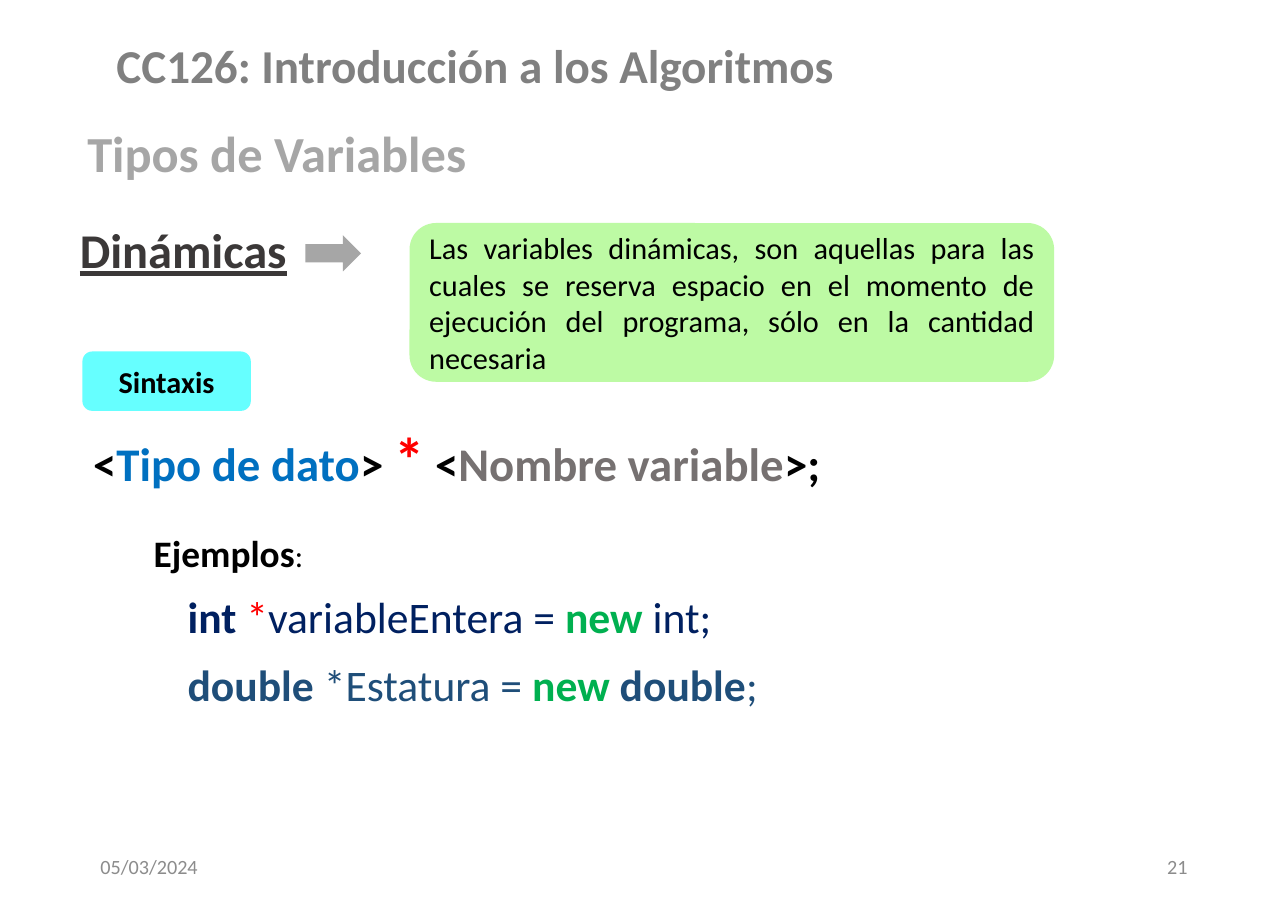
from dataclasses import dataclass

from pptx import Presentation
from pptx.dml.color import RGBColor
from pptx.enum.shapes import MSO_SHAPE
from pptx.enum.text import MSO_ANCHOR, MSO_AUTO_SIZE, PP_ALIGN
from pptx.util import Inches, Pt

LEFT, MID, RIGHT, FULL = PP_ALIGN.LEFT, PP_ALIGN.CENTER, PP_ALIGN.RIGHT, PP_ALIGN.JUSTIFY
TOP, CENTER = MSO_ANCHOR.TOP, MSO_ANCHOR.MIDDLE
ROUND, ARROW = MSO_SHAPE.ROUNDED_RECTANGLE, MSO_SHAPE.RIGHT_ARROW
NO_FIT = MSO_AUTO_SIZE.NONE


@dataclass(frozen=True)
class Theme:
    """Colours, type sizes and font of the slide."""
    font: str = "Calibri"
    black: str = "000000"
    head: str = "808080"
    gray: str = "A6A6A6"
    dark: str = "3B3838"
    name: str = "767171"
    foot: str = "8C8C8C"
    blue: str = "0070C0"
    navy: str = "002060"
    steel: str = "1F4E79"
    red: str = "FF0000"
    green: str = "00B050"
    lime: str = "BDFAA4"
    cyan: str = "66FFFF"
    head_size: float = 28
    title_size: float = 30
    sub_size: float = 28.8
    form_size: float = 27.8
    star_size: float = 36.1
    code_size: float = 25.9
    label_size: float = 22.2
    colon_size: float = 18.5
    note_size: float = 18
    foot_size: float = 12


T = Theme()


def run(text, size, color, bold=False, **more):
    """Return the text and format values of one run."""
    return text, color, {"name": T.font, "size": Pt(size), "bold": bold, **more}


def place(shape, box):
    """Move and size a shape."""
    for key, value in zip(("left", "top", "width", "height"), box):
        setattr(shape, key, Inches(value))


def write(shape, lines, anchor=TOP):
    """Fill a shape with lines of (runs, indent, paragraph format)."""
    frame = shape.text_frame
    look = {"word_wrap": True, "auto_size": NO_FIT, "vertical_anchor": anchor}
    for key, value in look.items():
        setattr(frame, key, value)
    for i, (runs, indent, form) in enumerate(lines):
        para = frame.add_paragraph() if i else frame.paragraphs[0]
        props = para._p.get_or_add_pPr()
        props.set("marL", str(Inches(indent)))
        props.set("indent", "0")
        for key, value in {"alignment": LEFT, **form}.items():
            setattr(para, key, value)
        for text, color, font in runs:
            part = para.add_run()
            part.text = text
            for key, value in font.items():
                setattr(part.font, key, value)
            part.font.color.rgb = RGBColor.from_string(color)


def add_text(slide, box, lines, anchor=TOP):
    """Add a text box."""
    write(slide.shapes.add_textbox(*map(Inches, box)), lines, anchor)


def add_block(slide, kind, box, fill, lines=()):
    """Add a filled preset shape with optional text."""
    shape = slide.shapes.add_shape(kind, *map(Inches, box))
    shape.shadow.inherit = False
    shape.fill.solid()
    shape.fill.fore_color.rgb = RGBColor.from_string(fill)
    shape.line.fill.background()
    write(shape, lines, CENTER)


def add_title(slide):
    """Format the title placeholder."""
    title = slide.shapes.title
    place(title, (0.55, 1.01, 5.65, 0.48))
    runs = [run("Tipos de Variables", T.title_size, T.gray, True)]
    write(title, [(runs, 0.07, {"line_spacing": 0.9})])


def add_syntax(slide):
    """Add the syntax rule and its examples."""
    size, code = T.form_size, T.code_size
    rule = [
        run("<", size, T.black, True),
        run("Tipo de dato", size, T.blue, True),
        run("> ", size, T.black, True),
        run("*", T.star_size, T.red, True),
        run(" ", size, T.black),
        run("<", size, T.black, True),
        run("Nombre variable", size, T.name, True),
        run(">;", size, T.black, True),
    ]
    label = [
        run("Ejemplos", T.label_size, T.black, True),
        run(":", T.colon_size, T.black),
    ]
    whole = [
        run("int ", code, T.navy, True),
        run("*", code, T.red),
        run("variableEntera = ", code, T.navy),
        run("new ", code, T.green, True),
        run("int;", code, T.navy),
    ]
    real = [
        run("double", code, T.steel, True),
        run(" *Estatura = ", code, T.steel),
        run("new ", code, T.green, True),
        run("double", code, T.steel, True),
        run(";", code, T.steel),
    ]
    tight = {"line_spacing": 0.8}
    loose = {"line_spacing": 1.1, "space_before": Pt(6)}
    add_text(slide, (0.55, 3.54, 8.18, 2.95), [
        (rule, 0.12, tight),
        (label, 0.62, {**tight, "space_before": Pt(27)}),
        (whole, 0.9, loose),
        (real, 0.9, loose),
    ])


def add_foot(slide):
    """Add the date and the page number."""
    for left, text, side in ((0.73, "05/03/2024", LEFT), (7.51, "21", RIGHT)):
        runs = [run(text, T.foot_size, T.foot)]
        add_text(slide, (left, 6.95, 2.39, 0.4), [(runs, 0, {"alignment": side})], CENTER)


def main():
    """Build and save the slide."""
    deck = Presentation()
    deck.slide_width, deck.slide_height = Inches(10.63), Inches(7.5)
    slide = deck.slides.add_slide(deck.slide_layouts[5])
    head = [run("CC126: Introducción a los Algoritmos", T.head_size, T.head, True)]
    add_text(slide, (0.56, 0.11, 6.72, 0.85), [(head, 0, {"alignment": MID})], CENTER)
    add_title(slide)
    add_syntax(slide)
    kind = [run("Dinámicas", T.sub_size, T.dark, True, underline=True)]
    add_text(slide, (0.49, 1.9, 2.03, 0.44), [(kind, 0.07, {"line_spacing": 0.7})])
    note = [run("Las variables dinámicas, son aquellas para las cuales se reserva "
                "espacio en el momento de ejecución del programa, sólo en la "
                "cantidad necesaria", T.note_size, T.black)]
    add_block(slide, ROUND, (3.38, 1.84, 5.32, 1.31), T.lime, [(note, 0, {"alignment": FULL})])
    add_block(slide, ARROW, (2.52, 1.94, 0.46, 0.3), T.gray)
    label = [run("Sintaxis", T.note_size, T.black, True)]
    add_block(slide, ROUND, (0.68, 2.9, 1.39, 0.49), T.cyan, [(label, 0, {"alignment": MID})])
    add_foot(slide)
    deck.save("out.pptx")


if __name__ == "__main__":
    main()
